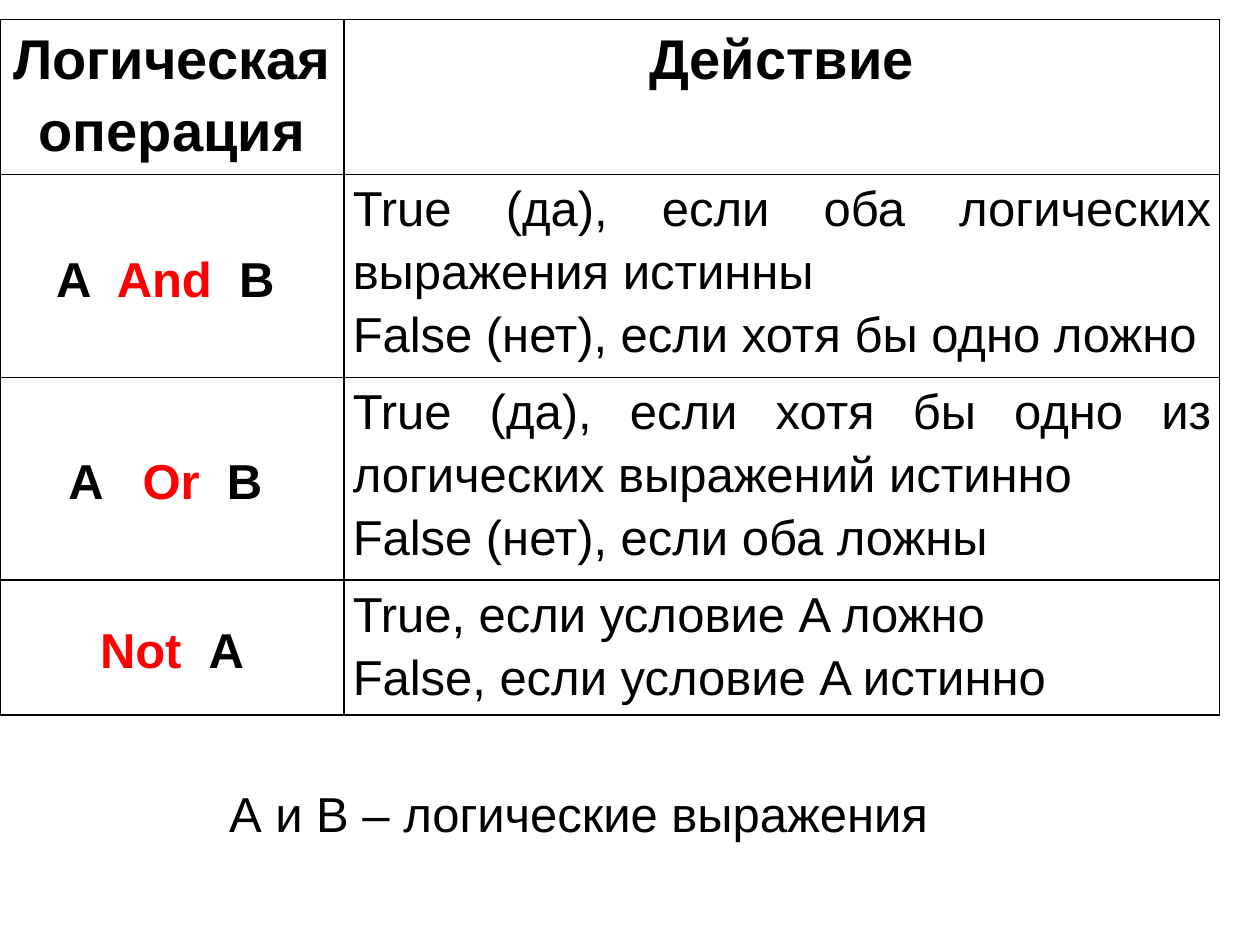
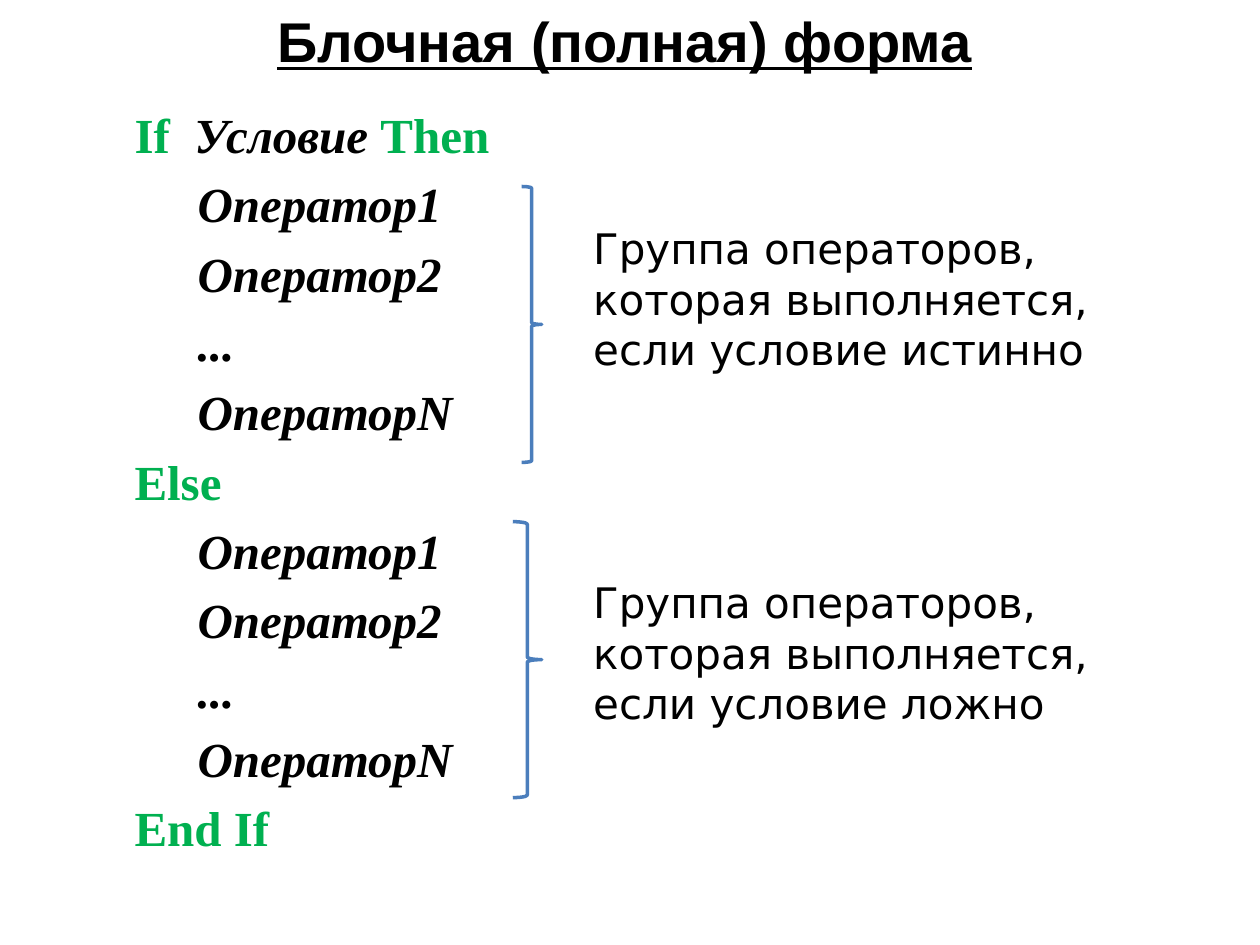
from dataclasses import dataclass

from lxml.etree import SubElement
from pptx import Presentation
from pptx.dml.color import RGBColor
from pptx.enum.shapes import MSO_SHAPE as Shape
from pptx.enum.text import MSO_ANCHOR as Anchor, MSO_AUTO_SIZE as AutoSize, PP_ALIGN as Align
from pptx.oxml.ns import qn
from pptx.util import Inches, Pt

COLORS = {
    "text": "000000",
    "operator": "FF0000",
    "keyword": "00B050",
    "brace": "4B7EBC",
    "border": "000000",
}
BODY, CODE, NOTE = "Arial", "Times New Roman", "DejaVu Sans"
CELL = 0.1  # the slide is a grid of 100 columns and 75 rows


@dataclass
class Box:
    """A region of the slide, in columns and rows of the grid."""
    left: float
    top: float
    width: float
    height: float

    def inner(self, column, row, width, height):
        """Return a smaller box placed relative to this one."""
        return Box(self.left + column, self.top + row, width, height)

    def lengths(self):
        """Return left, top, width and height as lengths."""
        return [grid(n) for n in (self.left, self.top, self.width, self.height)]


SLIDE = Box(0, 0, 100, 75)


def grid(cells):
    """Turn a number of grid cells into a length."""
    return Inches(cells * CELL)


def write(paragraph, pieces, size, font=BODY, align=None, bold=False):
    """Fill a paragraph with (text, colour, italic) pieces."""
    paragraph.alignment = align
    for text, color, italic in pieces:
        run = paragraph.add_run()
        run.text = text
        run.font.name = font
        run.font.size = Pt(size)
        run.font.bold = bold
        run.font.italic = italic
        run.font.color.rgb = RGBColor.from_string(COLORS[color])


def plain(text):
    """Return the pieces of a line in the text colour."""
    return [(text, "text", False)]


def add_text(slide, box, wrap=True):
    """Add an empty text box and return its text frame."""
    frame = slide.shapes.add_textbox(*box.lengths()).text_frame
    frame.word_wrap = wrap
    frame.auto_size = AutoSize.SHAPE_TO_FIT_TEXT
    return frame


def add_title(slide, box, text):
    """Add the underlined slide title."""
    title = add_text(slide, box).paragraphs[0]
    write(title, plain(text), 32, align=Align.CENTER, bold=True)
    title.runs[0].font.underline = True


def add_borders(cell):
    """Draw a thin line on the four sides of a table cell."""
    properties = cell._tc.get_or_add_tcPr()
    for position, side in enumerate(("lnL", "lnR", "lnT", "lnB")):
        line = properties.makeelement(qn("a:" + side), {"w": str(Pt(1))})
        fill = SubElement(line, qn("a:solidFill"))
        SubElement(fill, qn("a:srgbClr"), val=COLORS["border"])
        properties.insert(position, line)


def fill_cell(cell, lines, size, align, bold, anchor=Anchor.TOP):
    """Write lines of pieces into a bordered table cell."""
    cell.fill.background()
    cell.margin_left = cell.margin_right = Inches(0.07)
    cell.margin_top = cell.margin_bottom = 0
    cell.vertical_anchor = anchor
    frame = cell.text_frame
    for number, pieces in enumerate(lines):
        paragraph = frame.add_paragraph() if number else frame.paragraphs[0]
        paragraph.line_spacing = 1.15
        write(paragraph, pieces, size, align=align, bold=bold)
    add_borders(cell)


def add_operations_table(slide, box, headings, operations, widths, heights):
    """Add the table of logical operations and their results."""
    table = slide.shapes.add_table(len(heights), len(widths), *box.lengths()).table
    table.first_row = table.horz_banding = False
    for column, width in zip(table.columns, widths):
        column.width = grid(width)
    for row, height in zip(table.rows, heights):
        row.height = grid(height)
    for column, heading in enumerate(headings):
        fill_cell(table.cell(0, column), [plain(heading)], 32, Align.CENTER, True)
    for row, (operation, results) in enumerate(operations, start=1):
        pieces = [(text, color, False) for text, color in operation]
        fill_cell(table.cell(row, 0), [pieces], 28, Align.CENTER, True, Anchor.MIDDLE)
        lines = [plain(result) for result in results]
        fill_cell(table.cell(row, 1), lines, 28, Align.JUSTIFY, False)


def add_code(slide, box, lines):
    """Add code lines, each given as (depth, pieces)."""
    frame = add_text(slide, box)
    for number, (depth, pieces) in enumerate(lines):
        paragraph = frame.add_paragraph() if number else frame.paragraphs[0]
        paragraph.level = 1
        paragraph.space_before = Pt(6)
        write(paragraph, pieces, 28, CODE, Align.JUSTIFY, True)
        properties = paragraph._p.get_or_add_pPr()
        properties.set("marL", str(grid(5 * (depth + 1))))
        properties.set("indent", "0")


def add_branch(slide, box, brace_width, note_row, outcome):
    """Add a brace at the left of the box and the note that explains it."""
    brace_box = box.inner(2.4 - brace_width, 0, brace_width, box.height)
    brace = slide.shapes.add_shape(Shape.RIGHT_BRACE, *brace_box.lengths())
    brace.shadow.inherit = False
    brace.fill.background()
    brace.line.color.rgb = RGBColor.from_string(COLORS["brace"])
    brace.line.width = Pt(2)
    note = add_text(slide, box.inner(5.5, note_row, 46.1, 13.1))
    text = f"Группа операторов, которая выполняется, если условие {outcome}"
    write(note.paragraphs[0], plain(text), 24, NOTE)


def build_operations(slide, box):
    """Build the slide about logical operations."""
    operations = [
        ([("A  ", "text"), ("And", "operator"), ("  B ", "text")],
         ["True (да), если оба логических выражения истинны",
          "False (нет), если хотя бы одно ложно"]),
        ([("A   ", "text"), ("Or", "operator"), ("  B ", "text")],
         ["True (да), если хотя бы одно из логических выражений истинно",
          "False (нет), если оба ложны"]),
        ([("Not  ", "operator"), ("A", "text")],
         ["True, если условие A ложно", "False, если условие A истинно"]),
    ]
    add_operations_table(
        slide, box.inner(0, 1.55, 96.8, 55.2), ["Логическая операция", "Действие"],
        operations, widths=[27.3, 69.5], heights=[12.3, 16.1, 16.1, 10.7])
    caption = add_text(slide, box.inner(17.2, 61.7, 58.1, 5.7), wrap=False)
    write(caption.paragraphs[0], plain("А и В – логические выражения"), 28)


def build_block_form(slide, box):
    """Build the slide about the block form of the condition."""
    add_title(slide, box.inner(3.9, 0, 91.4, 6.4), "Блочная (полная) форма")
    statements = [(1, [(text, "text", True)])
                  for text in ("Оператор1", "Оператор2", "...", "ОператорN")]
    condition = [("If  ", "keyword", False), ("Условие ", "text", True),
                 ("Then", "keyword", False)]
    add_code(slide, box.inner(4.7, 7.8, 91.4, 61.3), [
        (0, condition), *statements,
        (0, [("Else", "keyword", False)]), *statements,
        (0, [("End If", "keyword", False)])])
    branches = [(14.8, 1.6, 2.4, "истинно"), (41.4, 2.3, 3.9, "ложно")]
    for row, brace_width, note_row, outcome in branches:
        add_branch(slide, box.inner(40.6, row, 51.6, 21.9), brace_width, note_row, outcome)


def main():
    """Build the presentation and save it."""
    deck = Presentation()
    deck.slide_width, deck.slide_height = grid(SLIDE.width), grid(SLIDE.height)
    for build in (build_operations, build_block_form):
        build(deck.slides.add_slide(deck.slide_layouts[6]), SLIDE)
    deck.save("out.pptx")


main()
